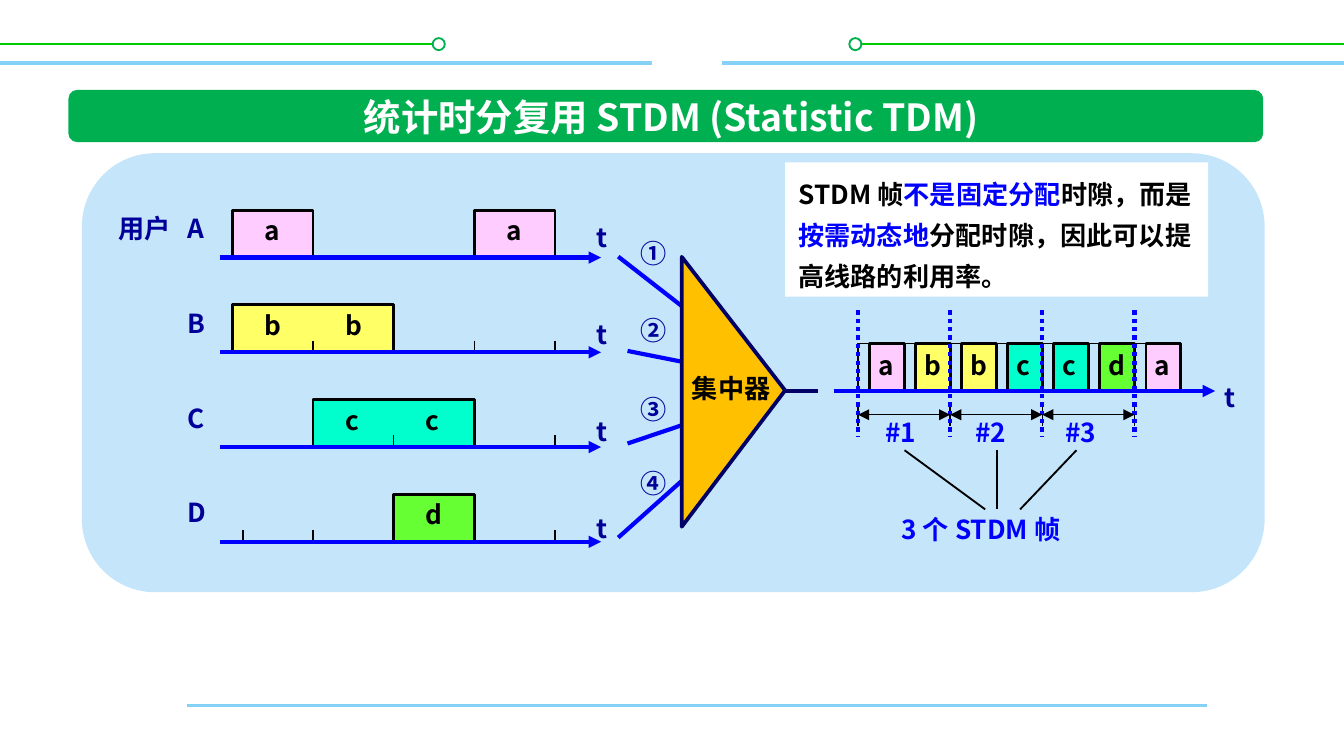
from dataclasses import dataclass

from lxml.etree import SubElement
from pptx import Presentation
from pptx.dml.color import RGBColor
from pptx.enum.dml import MSO_LINE
from pptx.enum.shapes import MSO_CONNECTOR, MSO_SHAPE
from pptx.enum.text import MSO_ANCHOR, MSO_AUTO_SIZE, PP_ALIGN
from pptx.oxml.ns import qn
from pptx.util import Pt


@dataclass(frozen=True)
class Theme:
    font: str = "Noto Sans CJK SC"
    title_size: float = 20
    body_size: float = 14
    white: str = "FFFFFF"
    black: str = "000000"
    navy: str = "000099"
    outline: str = "000066"
    blue: str = "0000FF"
    sky: str = "85D1F7"
    panel: str = "C5E5FB"
    green: str = "00B050"
    rule: str = "00CC00"
    amber: str = "FFC000"


THEME = Theme()
DATA_COLORS = {"a": "FFCCFF", "b": "FFFF66", "c": "00FFCC", "d": "66FF33"}

# User time axes: first slot edge, slot width, first baseline, baseline step
SLOT_X, SLOT_WIDTH = 124.56, 43.2
AXIS_Y, AXIS_STEP = 138, 50.75
BLOCK_HEIGHT = 25.4

# Each user: data letter, occupied slots as (first, count), ticks in slot units
USERS = {
    "A": ("a", [(0, 1), (3, 1)], []),
    "B": ("b", [(0, 2)], [1, 3, 4]),
    "C": ("c", [(1, 2)], [2, 4]),
    "D": ("d", [(2, 1)], [0.13, 1, 4]),
}

# Multiplexed line: each cell follows a narrow address gap
CELLS = "abbccda"
LINE_X, LINE_Y = 459.7, 209.5
CELL_PITCH, GAP_WIDTH = 24.67, 6.2
CELL_WIDTH = CELL_PITCH - GAP_WIDTH
FRAME_WIDTH = 2 * CELL_PITCH


def rgb(color):
    return RGBColor.from_string(color)


def format_run(run, color, size=THEME.body_size):
    run.font.size = Pt(size)
    run.font.bold = True
    run.font.color.rgb = rgb(color)
    run.font.name = THEME.font
    SubElement(run.font._element, qn("a:ea"), typeface=THEME.font)


def style(shape, fill=None, line=None, width=1):
    shape.shadow.inherit = False
    if fill:
        shape.fill.solid()
        shape.fill.fore_color.rgb = rgb(fill)
    else:
        shape.fill.background()
    if line:
        shape.line.color.rgb = rgb(line)
        shape.line.width = Pt(width)
    else:
        shape.line.fill.background()


def add_shape(slide, kind, box, fill, line=None, width=1, adjustment=None):
    shape = slide.shapes.add_shape(kind, *map(Pt, box))
    style(shape, fill, line, width)
    if adjustment is not None:
        shape.adjustments[0] = adjustment
    return shape


def add_line(slide, start, end, color, width, heads=(), dash=None):
    line = slide.shapes.add_connector(MSO_CONNECTOR.STRAIGHT, *map(Pt, (*start, *end)))
    line.line.color.rgb = rgb(color)
    line.line.width = Pt(width)
    if dash:
        line.line.dash_style = dash
    for head in heads:
        SubElement(line.line._get_or_add_ln(), qn(f"a:{head}"), type="triangle")
    SubElement(line._element.spPr, qn("a:effectLst"))


def add_pulse(slide, left, base, width, fill=None, line_width=1.5):
    """Block that stands on an axis, with an open lower side."""
    right, top = left + width, base - BLOCK_HEIGHT
    builder = slide.shapes.build_freeform(Pt(left), Pt(base))
    corners = [(left, top), (right, top), (right, base)]
    builder.add_line_segments([(Pt(x), Pt(y)) for x, y in corners], close=False)
    style(builder.convert_to_shape(), fill, THEME.black, line_width)


def add_label(slide, text, left, top, width=24, color=THEME.navy, height=24.5, wrap=False):
    box = slide.shapes.add_textbox(*map(Pt, (left, top, width, height)))
    box.text_frame.word_wrap = wrap
    box.text_frame.text = text
    format_run(box.text_frame.paragraphs[0].runs[0], color)


def add_title(slide):
    add_shape(slide, MSO_SHAPE.ROUNDED_RECTANGLE, (36.7, 48.2, 640, 28), THEME.green, adjustment=0.167)
    title = slide.shapes.title
    title._element.getparent().append(title._element)
    title.left, title.top, title.width, title.height = map(Pt, (98.6, 48.2, 522, 28))
    frame = title.text_frame
    frame.text = "统计时分复用 STDM (Statistic TDM)"
    frame.auto_size = MSO_AUTO_SIZE.NONE
    frame.vertical_anchor = MSO_ANCHOR.MIDDLE
    frame.paragraphs[0].alignment = PP_ALIGN.CENTER
    format_run(frame.paragraphs[0].runs[0], THEME.white, THEME.title_size)


def add_decoration(slide):
    for start, end, circle_left in ((0, 233, 231.8), (455, 720, 455)):
        add_line(slide, (start, 23.6), (end, 23.6), THEME.rule, 1)
        add_shape(slide, MSO_SHAPE.OVAL, (circle_left, 20.4, 6.5, 6.5), THEME.white, THEME.green)
    add_line(slide, (100, 378), (646.5, 378), THEME.sky, 1.5)
    add_line(slide, (0, 33.7), (720, 33.7), THEME.sky, 2)
    add_shape(slide, MSO_SHAPE.RECTANGLE, (349.2, 10, 37.5, 36.7), THEME.white)


def add_user_axes(slide):
    add_label(slide, "用户", 56.2, 110.2, 42.5)
    for row, (user, (letter, bursts, ticks)) in enumerate(USERS.items()):
        base = AXIS_Y + row * AXIS_STEP
        add_label(slide, user, 93.6, base - 27.6)
        for first, count in bursts:
            left = SLOT_X + first * SLOT_WIDTH
            add_pulse(slide, left, base, count * SLOT_WIDTH, DATA_COLORS[letter])
            for slot in range(count):
                center = left + (slot + 0.5) * SLOT_WIDTH
                add_label(slide, letter, center - 11.5, base - 26.6, 23, THEME.black)
        for tick in ticks:
            x = SLOT_X + tick * SLOT_WIDTH
            add_line(slide, (x, base - 6.2), (x, base), THEME.black, 0.75)
        add_line(slide, (118, base), (322, base), THEME.blue, 2.25, ["tailEnd"])
        add_label(slide, "t", 312.5, 115.2 + row * 52, 20)


def add_concentrator(slide):
    inputs = [
        ("①", 123.8, (331.2, 137.5), (402.5, 193)),
        ("②", 164.9, (336.2, 188), (404.6, 201.6)),
        ("③", 207.4, (336.2, 237.6), (404.6, 214.6)),
        ("④", 247, (331.2, 288), (404.6, 222.5)),
    ]
    for number, top, start, end in inputs:
        add_line(slide, start, end, THEME.blue, 2.25, ["tailEnd"])
        add_label(slide, number, 336.2, top, 28.8)
    triangle = add_shape(slide, MSO_SHAPE.ISOSCELES_TRIANGLE, (320.6, 182.2, 144.6, 55.4),
                         THEME.amber, THEME.outline, 2, 0.495)
    triangle.rotation = 90
    add_label(slide, "集中器", 363.6, 195.8, 57, THEME.black)
    add_line(slide, (420.5, LINE_Y), (438.3, LINE_Y), THEME.outline, 2.25)


def add_multiplexed_line(slide):
    # Cells and their address gaps
    for index, letter in enumerate(CELLS):
        left = LINE_X + index * CELL_PITCH
        add_pulse(slide, left, LINE_Y, GAP_WIDTH, line_width=0.75)
        add_pulse(slide, left + GAP_WIDTH, LINE_Y, CELL_WIDTH, DATA_COLORS[letter])
    add_line(slide, (447, LINE_Y), (651, LINE_Y), THEME.blue, 2.25, ["tailEnd"])
    add_label(slide, "t", 648.7, 200.9, 20)

    # Frame borders and spans
    for border in range(4):
        x = LINE_X + border * FRAME_WIDTH
        add_line(slide, (x, 216), (x, 228.4), THEME.black, 0.75)
        add_line(slide, (x, 166.3), (x, 234), THEME.blue, 2.25, dash=MSO_LINE.ROUND_DOT)
    for frame in range(3):
        x = LINE_X + frame * FRAME_WIDTH
        add_line(slide, (x, 222.2), (x + FRAME_WIDTH, 222.2), THEME.black, 0.75, ["headEnd", "tailEnd"])
        add_label(slide, f"#{frame + 1}", 467.3 + frame * 48.2, 219.6, 32.4, THEME.blue)

    # Letters lie over the frame borders
    for index, letter in enumerate(CELLS):
        center = LINE_X + (index + 0.5) * CELL_PITCH + GAP_WIDTH / 2
        add_label(slide, letter, center - 11.5, 183.6, 23, THEME.black)

    # Shared caption of the frames
    for start_x, end_x in ((484.6, 527.8), (534, 534), (576.7, 546.5)):
        add_line(slide, (start_x, 241.2), (end_x, 272.9), THEME.black, 1)
    add_label(slide, "3 个 STDM 帧", 475.9, 271.4, 100, THEME.blue, 41, wrap=True)


def add_note(slide):
    note = add_shape(slide, MSO_SHAPE.RECTANGLE, (420.7, 87, 226.6, 72), THEME.white)
    frame = note.text_frame
    frame.word_wrap = True
    frame.vertical_anchor = MSO_ANCHOR.TOP
    paragraph = frame.paragraphs[0]
    paragraph.alignment = PP_ALIGN.LEFT
    paragraph.line_spacing = Pt(22)
    parts = ["STDM 帧", "不是固定分配", "时隙，而是", "按需动态地", "分配时隙，因此可以提高线路的利用率。"]
    for index, text in enumerate(parts):
        run = paragraph.add_run()
        run.text = text
        format_run(run, THEME.blue if index % 2 else THEME.black)


def main():
    presentation = Presentation()
    presentation.slide_width, presentation.slide_height = Pt(720), Pt(405)
    slide = presentation.slides.add_slide(presentation.slide_layouts[5])
    add_decoration(slide)
    add_title(slide)
    add_shape(slide, MSO_SHAPE.ROUNDED_RECTANGLE, (43.9, 82.1, 633.6, 235.2), THEME.panel)
    add_user_axes(slide)
    add_concentrator(slide)
    add_multiplexed_line(slide)
    add_note(slide)
    presentation.save("out.pptx")


if __name__ == "__main__":
    main()
